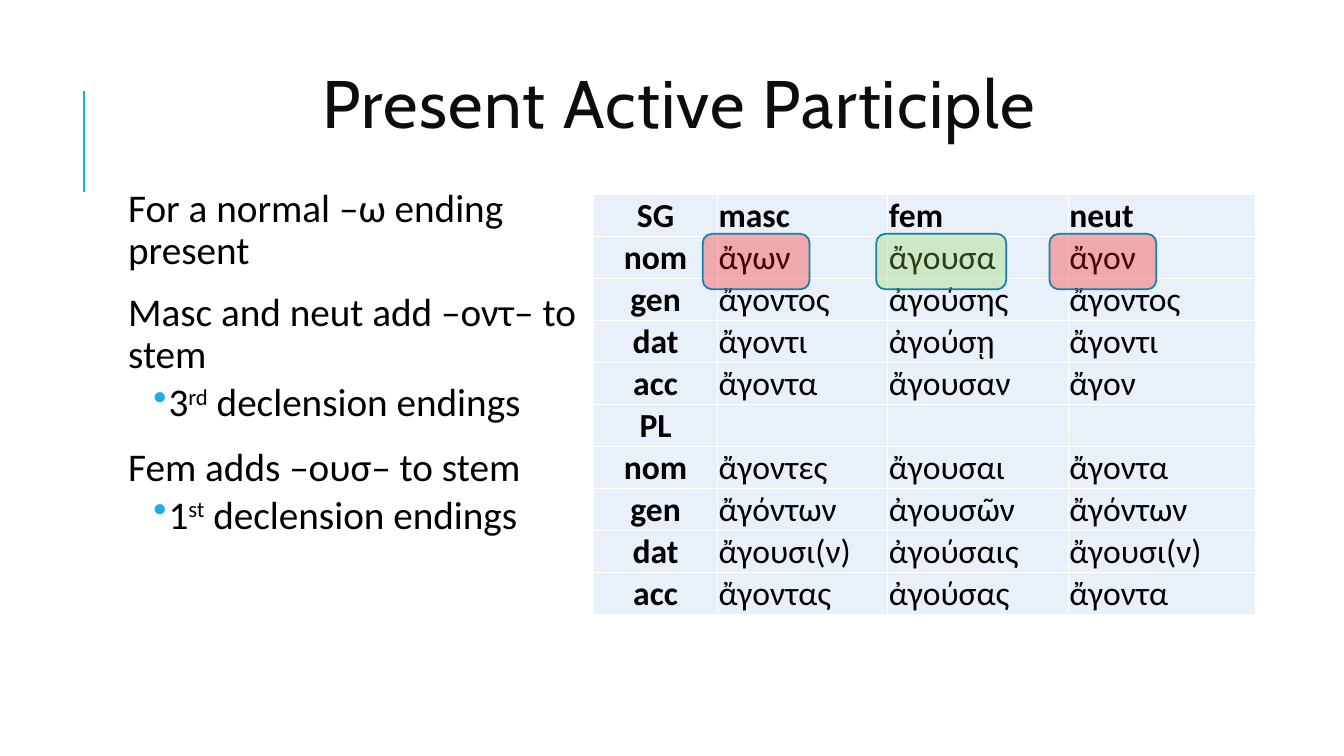
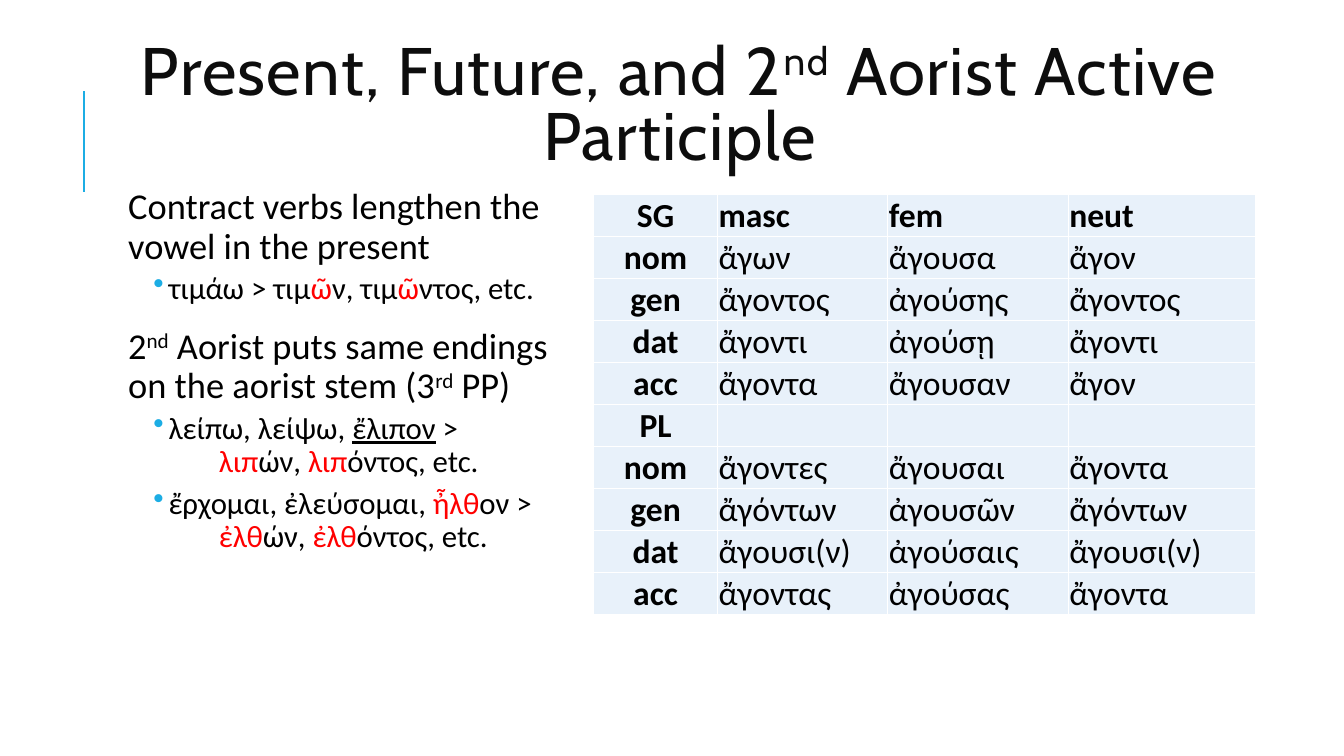
from lxml import etree
from pptx import Presentation
from pptx.dml.color import RGBColor
from pptx.enum.shapes import MSO_CONNECTOR, MSO_SHAPE
from pptx.enum.text import MSO_ANCHOR, MSO_AUTO_SIZE, PP_ALIGN
from pptx.oxml.ns import qn
from pptx.util import Inches, Pt

LINE, ROUND = MSO_CONNECTOR.STRAIGHT, MSO_SHAPE.ROUNDED_RECTANGLE
MID, LOW, TOP = MSO_ANCHOR.MIDDLE, MSO_ANCHOR.BOTTOM, MSO_ANCHOR.TOP
LEFT, MIDDLE = PP_ALIGN.LEFT, PP_ALIGN.CENTER
FIXED = MSO_AUTO_SIZE.NONE

HUES = {"ink": "000000", "title": "0D0D0D", "accent": "1CADE4", "cell": "E8F1FA",
        "grid": "FFFFFF", "red": "FF0000", "green": "92D050", "edge": "1580A9"}

deck = Presentation()
deck.slide_width, deck.slide_height = Inches(13.333), Inches(7.5)
COL, ROW = deck.slide_width / 120, deck.slide_height / 75


def area(x, y, w, h):
    return [int(n * unit) for n, unit in zip((x, y, w, h), (COL, ROW, COL, ROW))]


def write(para, runs, size, hue="ink", font="Calibri", bold=False):
    for text, *marks in runs:
        if text == "\n":
            para.add_line_break()
            continue
        run = para.add_run()
        run.text = text
        run.font.name, run.font.size, run.font.bold = font, Pt(size), bold
        tint = "red" if "red" in marks else hue
        run.font.color.rgb = RGBColor.from_string(HUES[tint])
        if "line" in marks:
            run.font.underline = True
        if "sup" in marks:
            run.font._element.set("baseline", "30000")
        if font == "Cabin":
            run.font._element.set("spc", "100")


FORMS = [
    ("SG", "masc", "fem", "neut"),
    ("nom", "ἄγων", "ἄγουσα", "ἄγον"),
    ("gen", "ἄγοντος", "ἀγούσης", "ἄγοντος"),
    ("dat", "ἄγοντι", "ἀγούσῃ", "ἄγοντι"),
    ("acc", "ἄγοντα", "ἄγουσαν", "ἄγον"),
    ("PL", "", "", ""),
    ("nom", "ἄγοντες", "ἄγουσαι", "ἄγοντα"),
    ("gen", "ἄγόντων", "ἀγουσῶν", "ἄγόντων"),
    ("dat", "ἄγουσι(ν)", "ἀγούσαις", "ἄγουσι(ν)"),
    ("acc", "ἄγοντας", "ἀγούσας", "ἄγοντα"),
]
WIDTHS = (11.07, 15.21, 16.11, 16.74)

PAGES = [
    {"title": [("Present Active Participle",)],
     "sizes": (28, 28),
     "marks": [("red", 9.54), ("green", 11.61), ("red", 9.54)],
     "body": [
         (0, [("For a normal –ω ending present",)]),
         (0, [("Masc and neut add –οντ– to stem",)]),
         (1, [("3",), ("rd", "sup"), (" declension endings",)]),
         (0, [("Fem adds –ουσ– to stem",)]),
         (1, [("1",), ("st", "sup"), (" declension endings",)]),
     ]},
    {"title": [("Present, Future, and 2",), ("nd", "sup"),
               (" Aorist Active Participle",)],
     "sizes": (26, 22),
     "marks": [],
     "body": [
         (0, [("Contract verbs lengthen the vowel in the present",)]),
         (1, [("τιμάω > τιμ",), ("ῶ", "red"), ("ν, τιμ",), ("ῶ", "red"),
              ("ντος, etc.",)]),
         (0, [("2",), ("nd", "sup"),
              (" Aorist puts same endings on the aorist stem (3",),
              ("rd", "sup"), (" PP)",)]),
         (1, [("λείπω, λείψω, ",), ("ἔλιπον", "line"), (" >",), ("\n",),
              ("\t",), ("λιπ", "red"), ("ών, ",), ("λιπ", "red"),
              ("όντος, etc.",)]),
         (1, [("ἔρχομαι, ἐλεύσομαι, ",), ("ἦλθ", "red"), ("ον >",), ("\n",),
              ("\t",), ("ἐλθ", "red"), ("ών, ",), ("ἐλθ", "red"),
              ("όντος, etc.",)]),
     ]},
]

for page in PAGES:
    slide = deck.slides.add_slide(deck.slide_layouts[5])
    shapes = slide.shapes

    x, y, _, h = area(7.5, 9, 0, 10)
    rule = shapes.add_connector(LINE, x, y + h, x, y)
    rule.line.color.rgb = RGBColor.from_string(HUES["accent"])
    rule.line.width = Pt(1.5)
    etree.SubElement(rule._element.spPr, qn("a:effectLst"))

    title = shapes.title
    title.left, title.top, title.width, title.height = area(10.1, 6.4, 101.16, 8.8)
    frame = title.text_frame
    frame.word_wrap, frame.auto_size, frame.vertical_anchor = True, FIXED, MID
    para = frame.paragraphs[0]
    para.alignment, para.line_spacing = MIDDLE, 0.8
    write(para, page["title"], 48, "title", "Cabin")

    frame = shapes.add_textbox(*area(10.1, 18.2, 42.3, 50.8)).text_frame
    frame.word_wrap, frame.auto_size, frame.vertical_anchor = True, FIXED, TOP
    frame.margin_left = frame.margin_right = Inches(0.05)
    frame.margin_top = frame.margin_bottom = Inches(0.05)
    for i, (level, runs) in enumerate(page["body"]):
        para = frame.add_paragraph() if i else frame.paragraphs[0]
        para.level, para.line_spacing = level, 0.9
        para.space_before = Pt((12, 2)[level] if i else 0)
        para.space_after = Pt((2, 4)[level])
        props = para._p.get_or_add_pPr()
        props.set("marL", str(Inches((0.1, 0.5)[level])))
        props.set("indent", str(Inches((0, -0.15)[level])))
        if level:
            tint = etree.SubElement(props, qn("a:buClr"))
            etree.SubElement(tint, qn("a:srgbClr"), val=HUES["accent"])
            etree.SubElement(props, qn("a:buChar"), char="•")
            stops = etree.SubElement(props, qn("a:tabLst"))
            etree.SubElement(stops, qn("a:tab"), pos=str(Inches(1)), algn="l")
        else:
            etree.SubElement(props, qn("a:buNone"))
        write(para, runs, page["sizes"][level])

    place = area(53, 19.3, sum(WIDTHS), 41.7)
    table = shapes.add_table(len(FORMS), len(WIDTHS), *place).table
    table.first_row = table.horz_banding = False
    for c, width in enumerate(WIDTHS):
        table.columns[c].width = int(width * COL)
    for r, forms in enumerate(FORMS):
        table.rows[r].height = int(4.17 * ROW)
        for c, form in enumerate(forms):
            cell = table.cell(r, c)
            cell.vertical_anchor = LOW
            cell.margin_left = cell.margin_right = cell.margin_top = Inches(0.01)
            cell.margin_bottom = 0
            props = cell._tc.get_or_add_tcPr()
            for side in "LRTB":
                edge = etree.SubElement(props, qn("a:ln" + side), w=str(Pt(1)))
                fill = etree.SubElement(edge, qn("a:solidFill"))
                etree.SubElement(fill, qn("a:srgbClr"), val=HUES["grid"])
            cell.fill.solid()
            cell.fill.fore_color.rgb = RGBColor.from_string(HUES["cell"])
            para = cell.text_frame.paragraphs[0]
            para.alignment = LEFT if c else MIDDLE
            if form:
                write(para, [(form,)], 24, bold=r == 0 or c == 0)

    for i, (hue, width) in enumerate(page["marks"]):
        mark = shapes.add_shape(ROUND, *area(62.75 + 15.48 * i, 23.2, width, 5.5))
        mark.shadow.inherit = False
        mark.fill.solid()
        mark.fill.fore_color.rgb = RGBColor.from_string(HUES[hue])
        tint = mark._element.spPr.find(qn("a:solidFill")).find(qn("a:srgbClr"))
        etree.SubElement(tint, qn("a:alpha"), val="30000")
        mark.line.color.rgb = RGBColor.from_string(HUES["edge"])
        mark.line.width = Pt(1.25)

deck.save("out.pptx")
